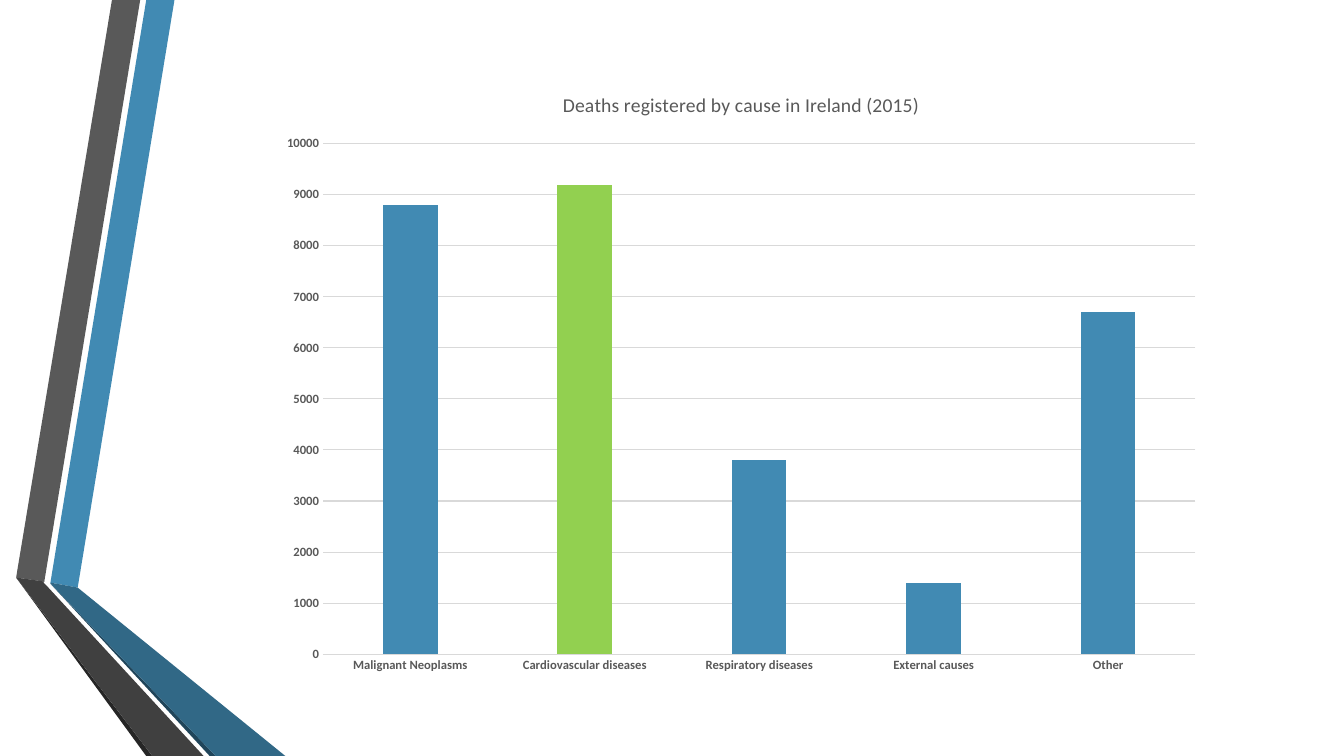
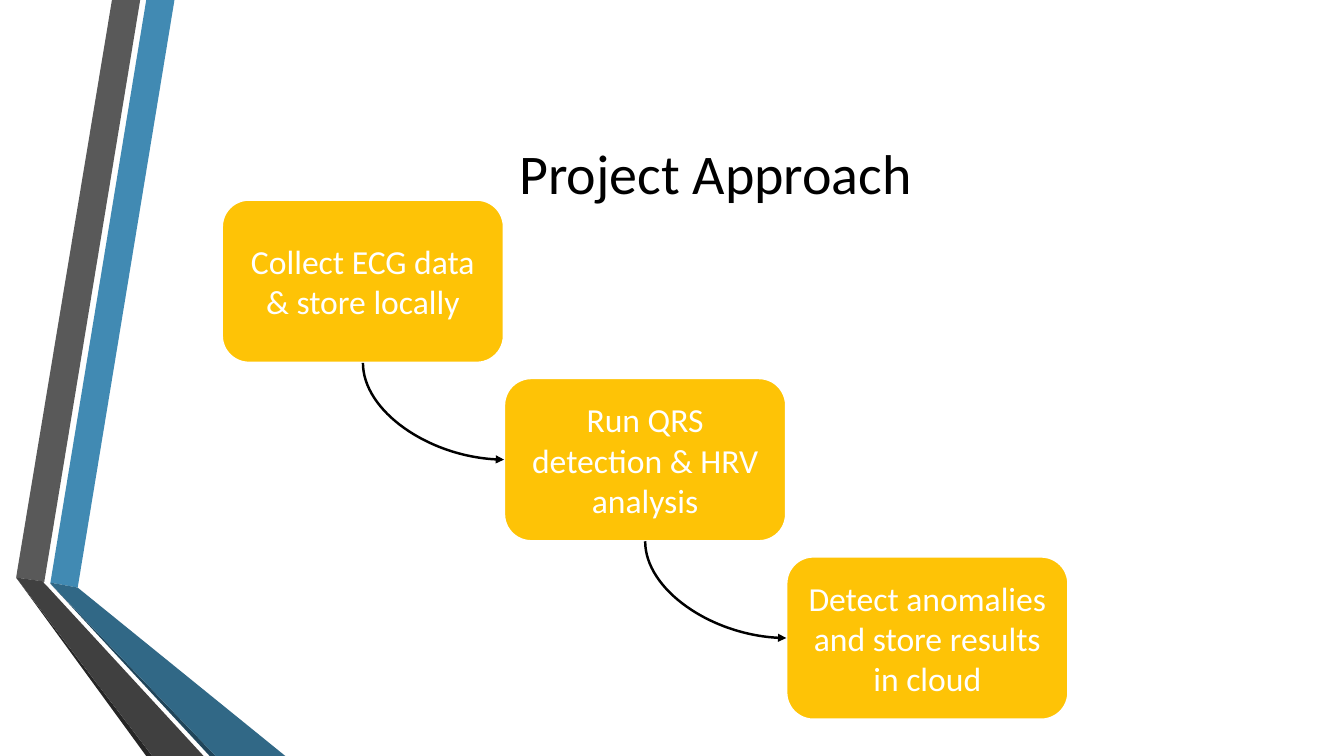
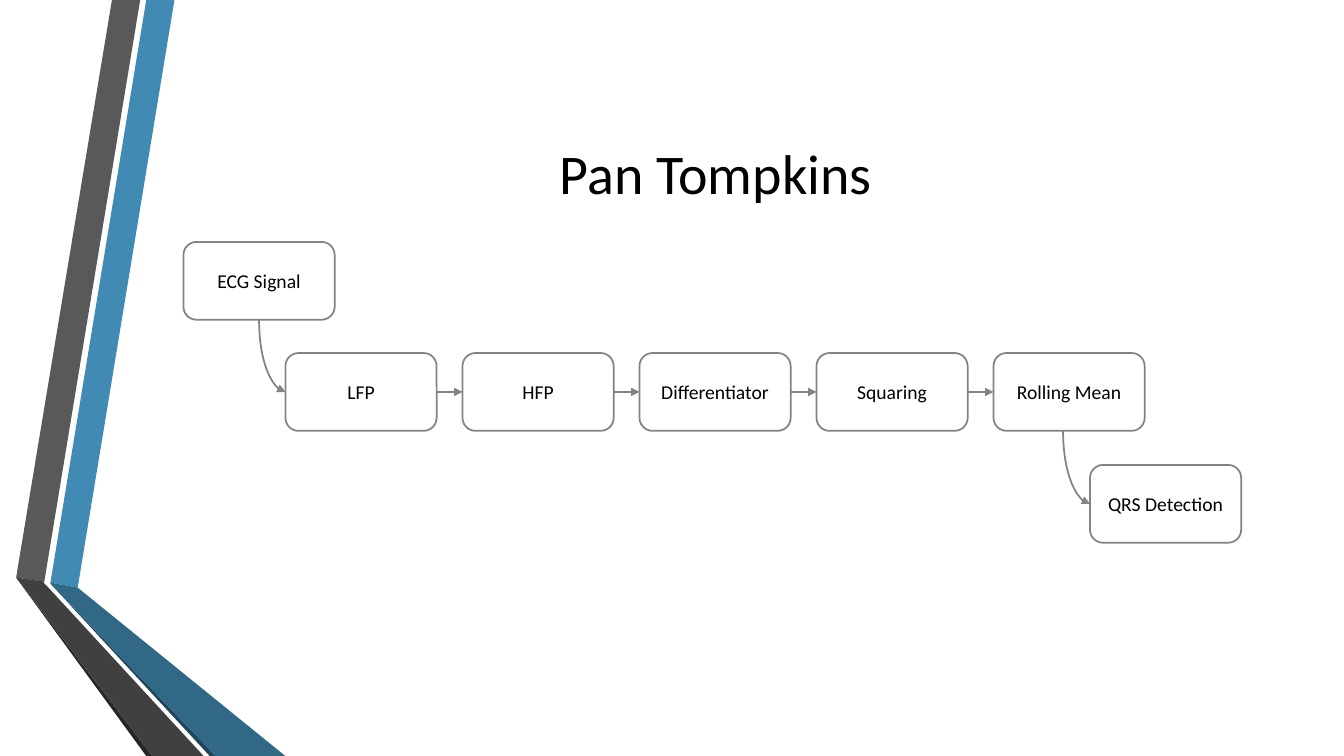
from dataclasses import dataclass

from lxml import etree
from pptx import Presentation
from pptx.chart.data import CategoryChartData
from pptx.dml.color import RGBColor
from pptx.enum.chart import XL_CHART_TYPE, XL_TICK_MARK
from pptx.enum.shapes import MSO_CONNECTOR, MSO_SHAPE
from pptx.enum.text import MSO_ANCHOR, PP_ALIGN
from pptx.oxml.ns import qn
from pptx.util import Inches, Pt

COLUMN_CHART = XL_CHART_TYPE.COLUMN_CLUSTERED
NO_TICK = XL_TICK_MARK.NONE
STRAIGHT, CURVE = MSO_CONNECTOR.STRAIGHT, MSO_CONNECTOR.CURVE
ROUNDED = MSO_SHAPE.ROUNDED_RECTANGLE
MIDDLE, CENTER = MSO_ANCHOR.MIDDLE, PP_ALIGN.CENTER
TOP_SIDE, LEFT_SIDE, BOTTOM_SIDE, RIGHT_SIDE = range(4)


@dataclass(frozen=True)
class Theme:
    font: str = "Calibri"
    black: RGBColor = RGBColor(0x00, 0x00, 0x00)
    white: RGBColor = RGBColor(0xFF, 0xFF, 0xFF)
    blue: RGBColor = RGBColor(0x41, 0x8A, 0xB3)
    teal: RGBColor = RGBColor(0x31, 0x68, 0x86)
    navy: RGBColor = RGBColor(0x20, 0x45, 0x5A)
    gray: RGBColor = RGBColor(0x59, 0x59, 0x59)
    charcoal: RGBColor = RGBColor(0x40, 0x40, 0x40)
    ink: RGBColor = RGBColor(0x26, 0x26, 0x26)
    outline: RGBColor = RGBColor(0x83, 0x83, 0x83)
    grid: RGBColor = RGBColor(0xD9, 0xD9, 0xD9)
    green: RGBColor = RGBColor(0x92, 0xD0, 0x50)
    yellow: RGBColor = RGBColor(0xFE, 0xC3, 0x06)
    title: int = 40
    step: int = 24
    stage: int = 14
    chart_title: int = 14
    axis: int = 9


theme = Theme()
deck = Presentation()
deck.slide_width, deck.slide_height = Inches(13.33), Inches(7.5)
COLUMN, ROW = deck.slide_width / 100, deck.slide_height / 100
blank = deck.slide_layouts[6]


def add_label(page, text, left, top, width, height, size, color=theme.black,
              fill=None, line=None, weight=1.25):
    frame = [int(left * COLUMN), int(top * ROW), int(width * COLUMN), int(height * ROW)]
    if fill is None:
        box = page.shapes.add_textbox(*frame)
    else:
        box = page.shapes.add_shape(ROUNDED, *frame)
        box.shadow.inherit = False
        box.fill.solid()
        box.fill.fore_color.rgb = fill
        box.line.color.rgb = line
        box.line.width = Pt(weight)
    box.text_frame.word_wrap = True
    box.text_frame.vertical_anchor = MIDDLE
    para = box.text_frame.paragraphs[0]
    para.alignment = CENTER
    span = para.add_run()
    span.text = text
    span.font.name = theme.font
    span.font.size = Pt(size)
    span.font.color.rgb = color
    return box


def add_arrow(page, source, target, color, weight, curve_start=None):
    if curve_start is None:
        arrow = page.shapes.add_connector(STRAIGHT, 0, 0, 0, 0)
        arrow.begin_connect(source, RIGHT_SIDE)
        arrow.end_connect(target, LEFT_SIDE)
    else:
        start_x = source.left + int(source.width * curve_start)
        start_y = source.top + source.height
        end_x, end_y = target.left, target.top + target.height // 2
        run, drop = end_x - start_x, end_y - start_y
        center_x, center_y = (start_x + end_x) // 2, (start_y + end_y) // 2
        arrow = page.shapes.add_connector(
            CURVE, center_x + drop // 2, center_y - run // 2,
            center_x - drop // 2, center_y + run // 2)
        arrow.rotation = 270
        arrow.element.spPr.find(qn("a:prstGeom")).set("prst", "curvedConnector2")
    arrow.line.color.rgb = color
    arrow.line.width = Pt(weight)
    properties = arrow.element.spPr
    etree.SubElement(properties.find(qn("a:ln")), qn("a:tailEnd"), type="triangle")
    etree.SubElement(properties, qn("a:effectLst"))


page = deck.slides.add_slide(blank)

bands = [
    (theme.blue, [(375, 7707), (578, 7773), (1298, 0), (1088, 0)]),
    (theme.gray, [(1043, 0), (833, 0), (120, 7640), (330, 7693)]),
    (theme.ink, [(120, 7640), (1088, 10000), (1133, 10000)]),
    (theme.navy, [(375, 7720), (1560, 10000), (1605, 10000)]),
    (theme.teal, [(375, 7707), (375, 7720), (1605, 10000), (2123, 10000), (578, 7773)]),
    (theme.charcoal, [(1515, 10000), (360, 7773), (323, 7707), (330, 7693),
                      (120, 7640), (1133, 10000)]),
]
for color, points in bands:
    builder = page.shapes.build_freeform(*points[0], scale=(COLUMN / 100, ROW / 100))
    builder.add_line_segments(points[1:], close=True)
    band = builder.convert_to_shape()
    band.shadow.inherit = False
    band.fill.solid()
    band.fill.fore_color.rgb = color
    band.line.fill.background()
    deck.slide_master.shapes.element.append(band.element)

deaths = CategoryChartData()
deaths.categories = ["Malignant Neoplasms", "Cardiovascular diseases",
                     "Respiratory diseases", "External causes", "Other"]
deaths.add_series("Series 1", [8800, 9200, 3800, 1400, 6700])
chart = page.shapes.add_chart(COLUMN_CHART, int(19.95 * COLUMN), int(9.33 * ROW),
                              int(70.4 * COLUMN), int(81.3 * ROW), deaths).chart
chart.font.name = theme.font
chart.font.size = Pt(10)
chart.has_legend = False
chart.has_title = True
para = chart.chart_title.text_frame.paragraphs[0]
span = para.add_run()
span.text = "Deaths registered by cause in Ireland (2015)"
span.font.name = theme.font
span.font.size = Pt(theme.chart_title)
span.font.bold = False
span.font.color.rgb = theme.gray

for axis in (chart.category_axis, chart.value_axis):
    axis.major_tick_mark = axis.minor_tick_mark = NO_TICK
    font = axis.tick_labels.font
    font.name = theme.font
    font.size = Pt(theme.axis)
    font.bold = True
    font.color.rgb = theme.gray
chart.value_axis.minimum_scale = 0
chart.value_axis.maximum_scale = 10000
chart.value_axis.major_unit = 1000
chart.value_axis.format.line.fill.background()
for line in (chart.category_axis.format.line, chart.value_axis.major_gridlines.format.line):
    line.color.rgb = theme.grid
    line.width = Pt(0.75)

plot = chart.plots[0]
plot.gap_width = 219
plot.overlap = -27
plot.vary_by_categories = False
series = plot.series[0]
for target, color in ((series, theme.blue), (series.points[1], theme.green)):
    target.format.fill.solid()
    target.format.fill.fore_color.rgb = color

approach, detection = [deck.slides.add_slide(blank) for _ in range(2)]
for page, heading in ((approach, "Project Approach"), (detection, "Pan Tompkins")):
    add_label(page, heading, 12.15, 10, 82.2, 25.6, theme.title)

steps = ["Collect ECG data & store locally", "Run QRS detection & HRV analysis",
         "Detect anomalies and store results in cloud"]
boxes = [add_label(approach, text, 16.5 + 21 * index, 26.4 + 23.6 * index, 21, 21.6,
                   theme.step, color=theme.white, fill=theme.yellow,
                   line=theme.white, weight=1.75)
         for index, text in enumerate(steps)]
for source, target in zip(boxes, boxes[1:]):
    add_arrow(approach, source, target, theme.black, 1.75, curve_start=0.5)

filters = ["LFP", "HFP", "Differentiator", "Squaring", "Rolling Mean"]
stages = [("ECG Signal", 13.65, 32)]
stages += [(text, 21.24 + 13.17 * index, 46.7) for index, text in enumerate(filters)]
stages += [("QRS Detection", 81.1, 61.5)]
boxes = [add_label(detection, text, left, top, 11.25, 10.3, theme.stage,
                   fill=theme.white, line=theme.outline)
         for text, left, top in stages]
curve_starts = [0.5] + [None] * (len(filters) - 1) + [0.46]
for source, target, curve_start in zip(boxes, boxes[1:], curve_starts):
    add_arrow(detection, source, target, theme.outline, 1.25, curve_start=curve_start)

deck.save("out.pptx")
